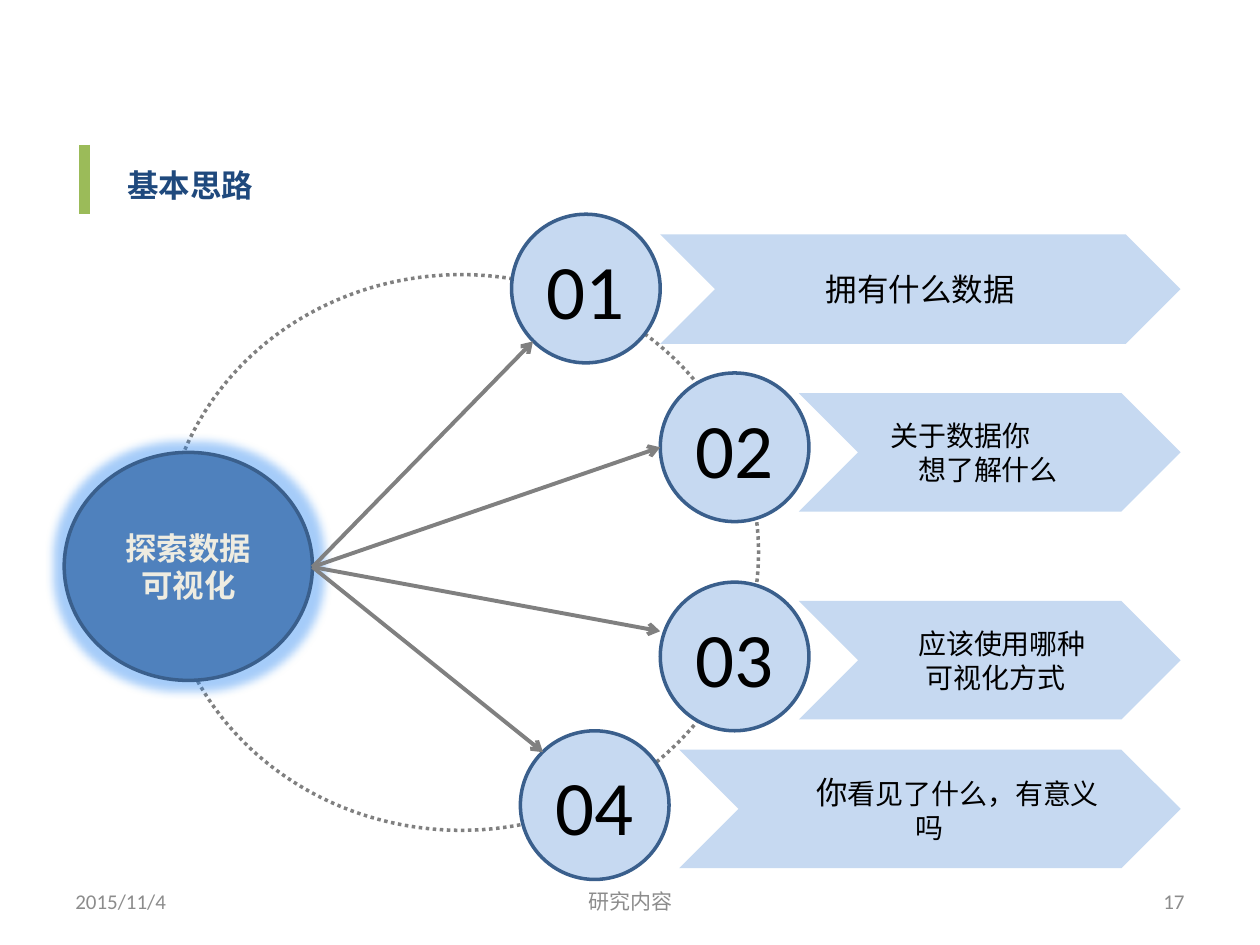
from lxml import etree
from pptx import Presentation
from pptx import util as u
from pptx.dml.color import RGBColor
from pptx.enum import dml, shapes, text
from pptx.oxml import ns

theme = {
    "font": "Calibri",
    "ring": "808080", "paper": "FFFFFF", "hub": "4F81BD", "edge": "3A5F8C",
    "pale": "C6D9F1", "ink": "000000", "cream": "EEECE1", "navy": "1F497D",
    "green": "9BBB59", "muted": "8C8C8C", "glow": "2080F0",
    "footer": 12, "body": 16, "head": 18, "number": 44,
}
prs = Presentation()
prs.slide_width, prs.slide_height = u.Inches(10), u.Inches(7.5)
slide = prs.slides.add_slide(prs.slide_layouts[5])


def add_part(kind, box, fill, line=None):
    """Add a flat preset shape with an optional 2 pt outline."""
    part = slide.shapes.add_shape(kind, *map(u.Inches, box))
    part.shadow.inherit = False
    part.fill.solid()
    part.fill.fore_color.rgb = RGBColor.from_string(theme[fill])
    if line:
        part.line.color.rgb = RGBColor.from_string(theme[line])
        part.line.width = u.Pt(2)
    else:
        part.line.fill.background()
    return part


def style(part, size, color, align, bold=False):
    """Format all text of a shape and centre it vertically."""
    frame = part.text_frame
    frame.word_wrap = True
    frame.auto_size = text.MSO_AUTO_SIZE.NONE
    frame.vertical_anchor = text.MSO_ANCHOR.MIDDLE
    for paragraph in frame.paragraphs:
        paragraph.alignment = align
        for run in paragraph.runs:
            run.font.name = theme["font"]
            run.font.size = u.Pt(theme[size])
            run.font.bold = bold
            run.font.color.rgb = RGBColor.from_string(theme[color])


LEFT, CENTER, RIGHT = text.PP_ALIGN.LEFT, text.PP_ALIGN.CENTER, text.PP_ALIGN.RIGHT
CIRCLE = shapes.MSO_SHAPE.FLOWCHART_CONNECTOR
CHEVRON = shapes.MSO_SHAPE.CHEVRON

# Heading with its green bar
heading = slide.shapes.title
heading.left, heading.top = u.Inches(0.91), u.Inches(1.23)
heading.width, heading.height = u.Inches(2.6), u.Inches(0.47)
heading.text_frame.text = "基本思路"
style(heading, "head", "navy", LEFT, bold=True)

bar = slide.shapes.add_connector(
    shapes.MSO_CONNECTOR.STRAIGHT, *map(u.Inches, (0.67, 1.15, 0.67, 1.7)))
bar.line.color.rgb = RGBColor.from_string(theme["green"])
bar.line.width = u.Pt(6)
etree.SubElement(bar._element.spPr, ns.qn("a:effectLst"))

# Dotted ring and glowing hub
ring = add_part(CIRCLE, (1.3, 2.18, 4.72, 4.41), "paper", "ring")
ring.line.dash_style = dml.MSO_LINE.ROUND_DOT

hub = add_part(CIRCLE, (0.51, 3.59, 1.97, 1.81), "hub", "edge")
hub.text_frame.text = "探索数据可视化"
style(hub, "head", "cream", CENTER, bold=True)
effects = hub._element.spPr.find(ns.qn("a:effectLst"))
glow = etree.SubElement(effects, ns.qn("a:glow"), rad=str(u.Inches(0.15)))
glow_color = etree.SubElement(glow, ns.qn("a:srgbClr"), val=theme["glow"])
etree.SubElement(glow_color, ns.qn("a:alpha"), val="40000")

# Steps: circle corner, chevron left/top/height, arrow tip, (line, indent)
steps = [
    ((4.06, 1.7), (5.24, 1.86, 0.87), (4.23, 2.71), "head", [("拥有什么数据", None)]),
    ((5.24, 2.96), (6.34, 3.12, 0.94), (5.24, 3.55), "body",
     [("关于数据你", 0.16), ("想了解什么", 0.38)]),
    ((5.24, 4.62), (6.34, 4.77, 0.94), (5.24, 5.01), "body",
     [("应该使用哪种", 0.38), ("可视化方式", 0.44)]),
    ((4.13, 5.8), (5.39, 5.95, 0.94), (4.31, 5.97), "body",
     [("你看见了什么，有意义", 0.52), ("吗", None)]),
]
diameter, chevron_right = 1.18, 9.37
for number, (corner, (left, top, height), tip, size, lines) in enumerate(steps, 1):
    question = add_part(CHEVRON, (left, top, chevron_right - left, height), "pale")
    question.text_frame.text = "\n".join(line for line, _ in lines)
    if number == 4:  # the opening character is larger than the rest
        opening = question.text_frame.paragraphs[0]
        opening.runs[0].text = lines[0][0][0]
        opening.add_run().text = lines[0][0][1:]
    style(question, size, "ink", CENTER)
    if number == 4:
        opening.runs[0].font.size = u.Pt(theme["head"])
    for paragraph, (_, indent) in zip(question.text_frame.paragraphs, lines):
        if indent is not None:
            paragraph.alignment = LEFT
            paragraph._p.get_or_add_pPr().set("marL", str(u.Inches(indent)))

    badge = add_part(CIRCLE, (*corner, diameter, diameter), "pale", "edge")
    badge.text_frame.text = f"{number:02}"
    badge.text_frame.margin_left = badge.text_frame.margin_right = 0
    style(badge, "number", "ink", CENTER)

    arrow = slide.shapes.add_connector(
        shapes.MSO_CONNECTOR.STRAIGHT, *map(u.Inches, (2.48, 4.5, *tip)))
    arrow.line.color.rgb = RGBColor.from_string(theme["ring"])
    arrow.line.width = u.Pt(2.25)
    etree.SubElement(arrow.line._get_or_add_ln(), ns.qn("a:tailEnd"), type="arrow")
    etree.SubElement(arrow._element.spPr, ns.qn("a:effectLst"))

# Footer: date, section and page
for words, left, width, align in [
    ("2015/11/4", 0.5, 2.33, LEFT),
    ("研究内容", 3.42, 3.17, CENTER),
    ("17", 7.17, 2.33, RIGHT),
]:
    note = slide.shapes.add_textbox(*map(u.Inches, (left, 6.95, width, 0.4)))
    note.text_frame.text = words
    style(note, "footer", "muted", align)

prs.save("out.pptx")
